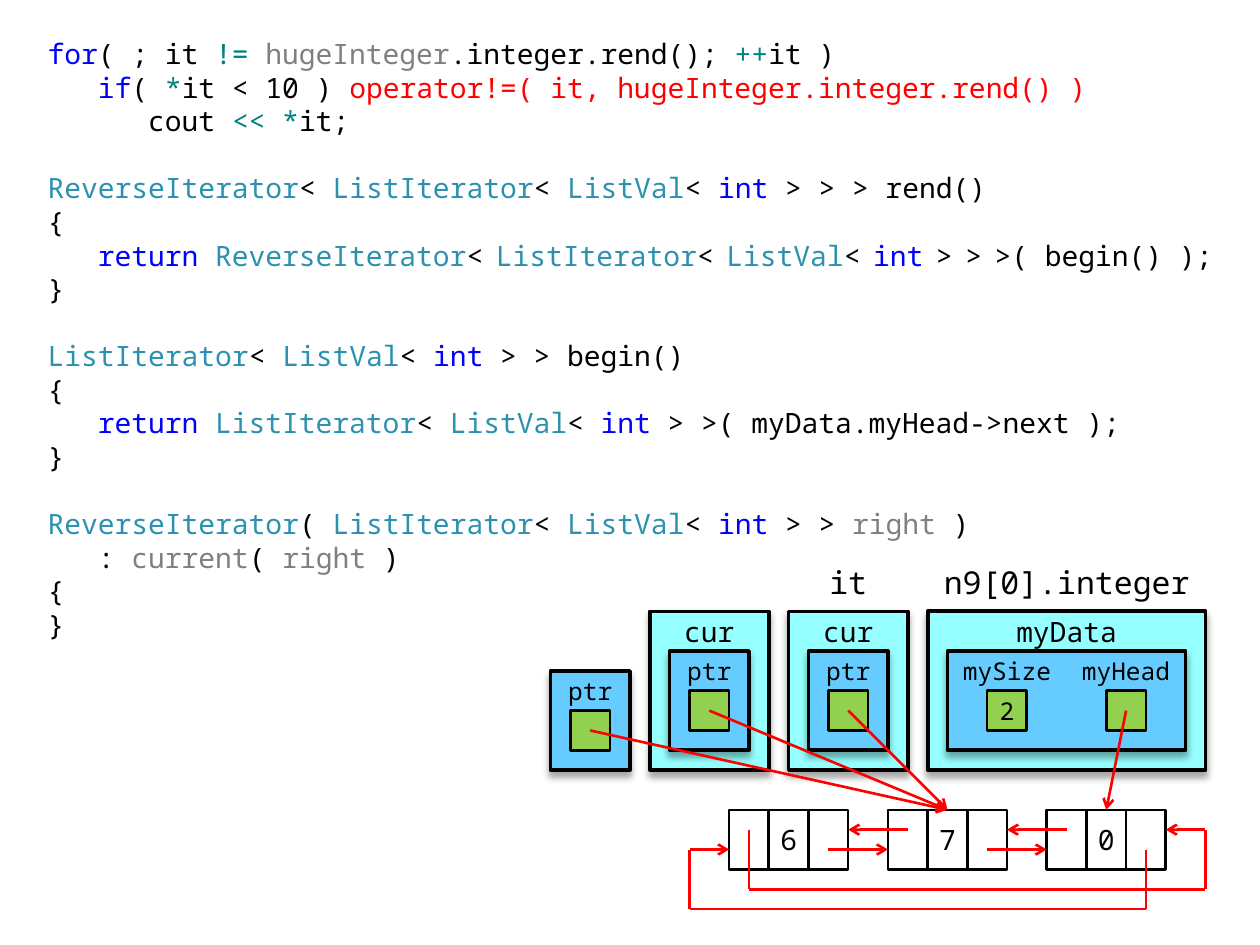
from pptx import Presentation
from pptx.dml.color import RGBColor
from pptx.enum.shapes import MSO_CONNECTOR as Link, MSO_SHAPE as Kind
from pptx.enum.text import MSO_ANCHOR as Anchor, PP_ALIGN as Align
from pptx.oxml.ns import qn
from pptx.util import Inches, Pt
from lxml.etree import SubElement as Sub

FONT = "Noto Sans Mono"
UNIT = Inches(1.26) / 8
LEFT, TOP = Inches(4.37), Inches(4.38)
BLACK, RED = "000000", "FF0000"
CYAN, BLUE, GREEN = "96FFFF", "66CCFF", "92D050"
INK = {"k": BLACK, "b": "0000FF", "t": "008080", "g": "808080",
       "r": RED, "c": "2B91AF", "s": BLACK}

LIST = "c:ListIterator|k:< |c:ListVal|k:< |b:int|k: > >"
BLOCKS = [
    ["b:for|k:( ; it |t:!= |g:hugeInteger|k:.integer.rend(); |t:++|k:it )",
     "k:   |b:if|k:( |t:*|k:it < 10 ) |r:operator!=( it, hugeInteger.integer.rend() )",
     "k:      cout |t:<< *|k:it;"],
    [f"c:ReverseIterator|k:< |{LIST} > rend()",
     "k:{",
     "k:   |b:return |c:ReverseIterator|k:<|s: |c:ListIterator|k:<|s: |c:ListVal|k:<|s: "
     "|b:int|s: |k:>|s: |k:>|s: |k:>( begin() );",
     "k:}"],
    [f"{LIST} begin()",
     "k:{",
     f"k:   |b:return |{LIST}( myData.myHead->next );",
     "k:}"],
    [f"c:ReverseIterator|k:( |{LIST} |g:right|k: )",
     "k:   : |g:current|k:( |g:right|k: )",
     "k:{",
     "k:}"],
]


def rgb(text):
    return RGBColor.from_string(text)


def put(item, **values):
    for name, value in values.items():
        setattr(item, name, value)


def spot(x, y):
    return int(LEFT + x * UNIT), int(TOP + y * UNIT)


def style(run, size, color):
    put(run.font, name=FONT, size=Pt(size))
    run.font.color.rgb = rgb(color)


def shade(shape):
    shape.shadow.inherit = False
    effects = shape._element.spPr.find(qn("a:effectLst"))
    outer = Sub(effects, qn("a:outerShdw"), blurRad=str(Pt(4)),
                dist=str(Pt(3)), dir="5400000", rotWithShape="0")
    tint = Sub(outer, qn("a:srgbClr"), val=BLACK)
    Sub(tint, qn("a:alpha"), val="35000")


def write(shape, text, size):
    frame = shape.text_frame
    put(frame, word_wrap=True, vertical_anchor=Anchor.MIDDLE, margin_left=0,
        margin_right=0, margin_top=0, margin_bottom=0)
    para = frame.paragraphs[0]
    para.alignment = Align.CENTER
    run = para.add_run()
    run.text = text
    style(run, size, BLACK)


def label(slide, x, y, w, h, text, size):
    box = slide.shapes.add_textbox(*spot(x, y), int(w * UNIT), int(h * UNIT))
    write(box, text, size)


def block(slide, x, y, w, h, fill=None, line=1.5, text="", size=14):
    kind = Kind.FLOWCHART_PROCESS if fill in (CYAN, BLUE) else Kind.RECTANGLE
    shape = slide.shapes.add_shape(kind, *spot(x, y), int(w * UNIT), int(h * UNIT))
    if fill:
        shape.fill.solid()
        shape.fill.fore_color.rgb = rgb(fill)
    else:
        shape.fill.background()
    shape.line.color.rgb = rgb(BLACK)
    shape.line.width = Pt(line)
    if fill in (CYAN, BLUE):
        shade(shape)
    else:
        shape.shadow.inherit = False
    if text:
        write(shape, text, size)
    return shape


def stroke(slide, start, end, head=True, goal=None):
    line = slide.shapes.add_connector(Link.STRAIGHT, *spot(*start), *spot(*end))
    line.line.color.rgb = rgb(RED)
    line.line.width = Pt(1.5)
    if head:
        Sub(line.line._get_or_add_ln(), qn("a:tailEnd"), type="arrow")
    Sub(line._element.spPr, qn("a:effectLst"))
    if goal is not None:
        line.end_connect(goal, 0)


def code(slide, x, y, w, h):
    frame = slide.shapes.add_textbox(x, y, w, h).text_frame
    put(frame, word_wrap=True, margin_top=0)
    for part, lines in enumerate(BLOCKS):
        for row, line in enumerate(lines):
            first = part == row == 0
            para = frame.paragraphs[0] if first else frame.add_paragraph()
            gap = Pt(19.2) if part and row == 0 else 0
            put(para, line_spacing=Pt(19.2), space_before=gap, space_after=0)
            for piece in line.split("|"):
                key, _, text = piece.partition(":")
                run = para.add_run()
                run.text = text
                style(run, 12 if key == "s" else 16, INK[key])


def node(slide, x, y, text):
    cells = [block(slide, x + 2 * i, y, 2, 3, text=mark, size=16)
             for i, mark in enumerate(("", text, ""))]
    return cells[1]


def chain(slide, x, y):
    mids = [node(slide, x + 8 * i, y, text) for i, text in enumerate("670")]
    for left in (x, x + 8):
        stroke(slide, (left + 9, y + 1), (left + 6, y + 1))
        stroke(slide, (left + 5, y + 2), (left + 8, y + 2))
    back = [(x + 1, y + 1), (x + 1, y + 4), (x + 24, y + 4),
            (x + 24, y + 1), (x + 22, y + 1)]
    front = [(x + 21, y + 2), (x + 21, y + 5), (x - 2, y + 5),
             (x - 2, y + 2), (x, y + 2)]
    for route in (back, front):
        for start, end in zip(route, route[1:]):
            stroke(slide, start, end, head=end == route[-1])
    return mids


def pointer(slide, x, y):
    block(slide, x, y, 4, 5, BLUE, 2)
    label(slide, x, y, 4, 2, "ptr", 14)
    block(slide, x + 1, y + 2, 2, 2, GREEN)
    return x + 2, y + 3


def cursor(slide, x, y):
    block(slide, x, y, 6, 8, CYAN, 2)
    label(slide, x + 1, y, 4, 2, "cur", 16)
    return pointer(slide, x + 1, y + 2)


def record(slide, x, y):
    label(slide, x, y - 3, 14, 3, "n9[0].integer", 18)
    block(slide, x, y, 14, 8, CYAN, 2.25)
    label(slide, x + 3, y, 8, 2, "myData", 16)
    block(slide, x + 1, y + 2, 12, 5, BLUE, 2)
    for left, name, value in ((x + 1, "mySize", "2"), (x + 7, "myHead", "")):
        label(slide, left, y + 2, 6, 2, name, 14)
        block(slide, left + 2, y + 4, 2, 2, GREEN, text=value)
    return x + 10, y + 5


def main():
    deck = Presentation()
    put(deck, slide_width=Inches(10), slide_height=Inches(7.5))
    slide = deck.slides.add_slide(deck.slide_layouts[6])
    code(slide, Inches(0.28), Inches(0.29), Inches(9.45), Inches(4.88))
    _, seven, zero = chain(slide, 9, 13)
    label(slide, 13, 0, 4, 3, "it", 18)
    starts = [pointer(slide, 0, 6), cursor(slide, 5, 3), cursor(slide, 12, 3)]
    head = record(slide, 19, 3)
    for start in starts:
        stroke(slide, start, (20, 13), goal=seven)
    stroke(slide, head, (28, 13), goal=zero)
    deck.save("out.pptx")


if __name__ == "__main__":
    main()
